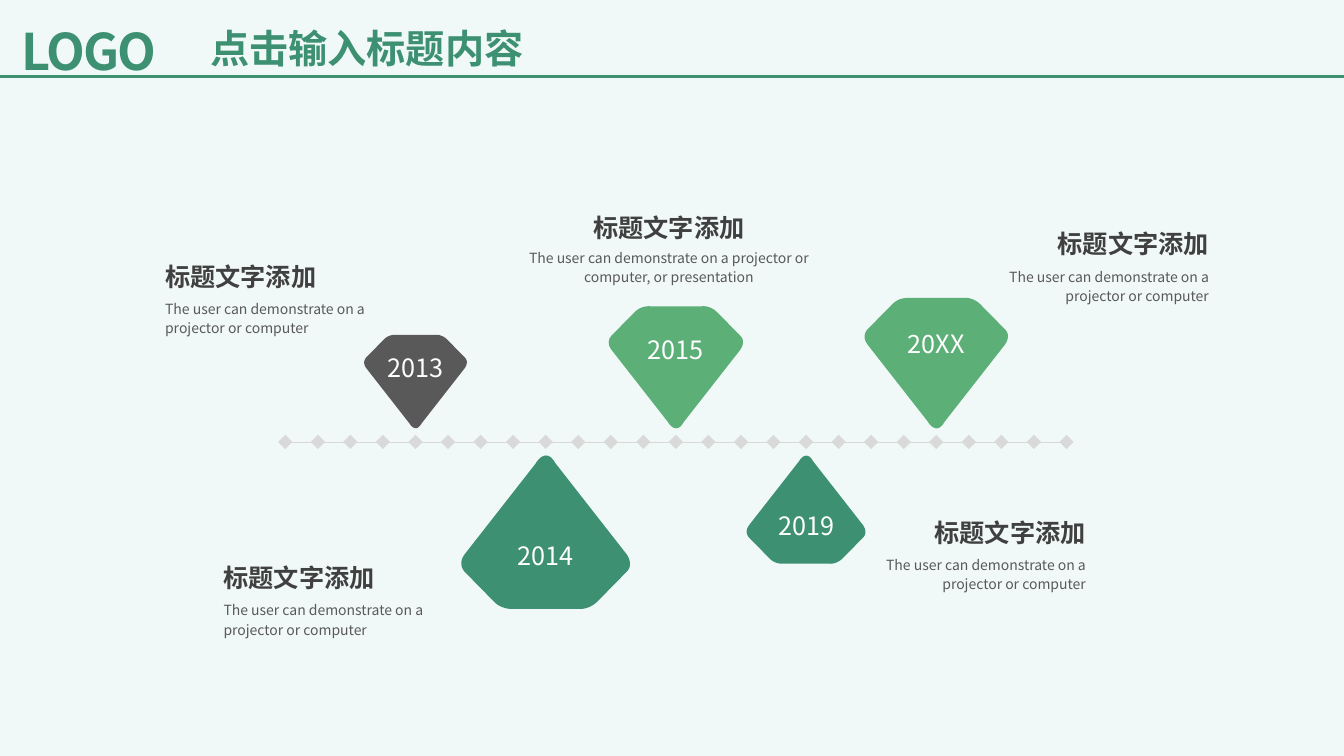
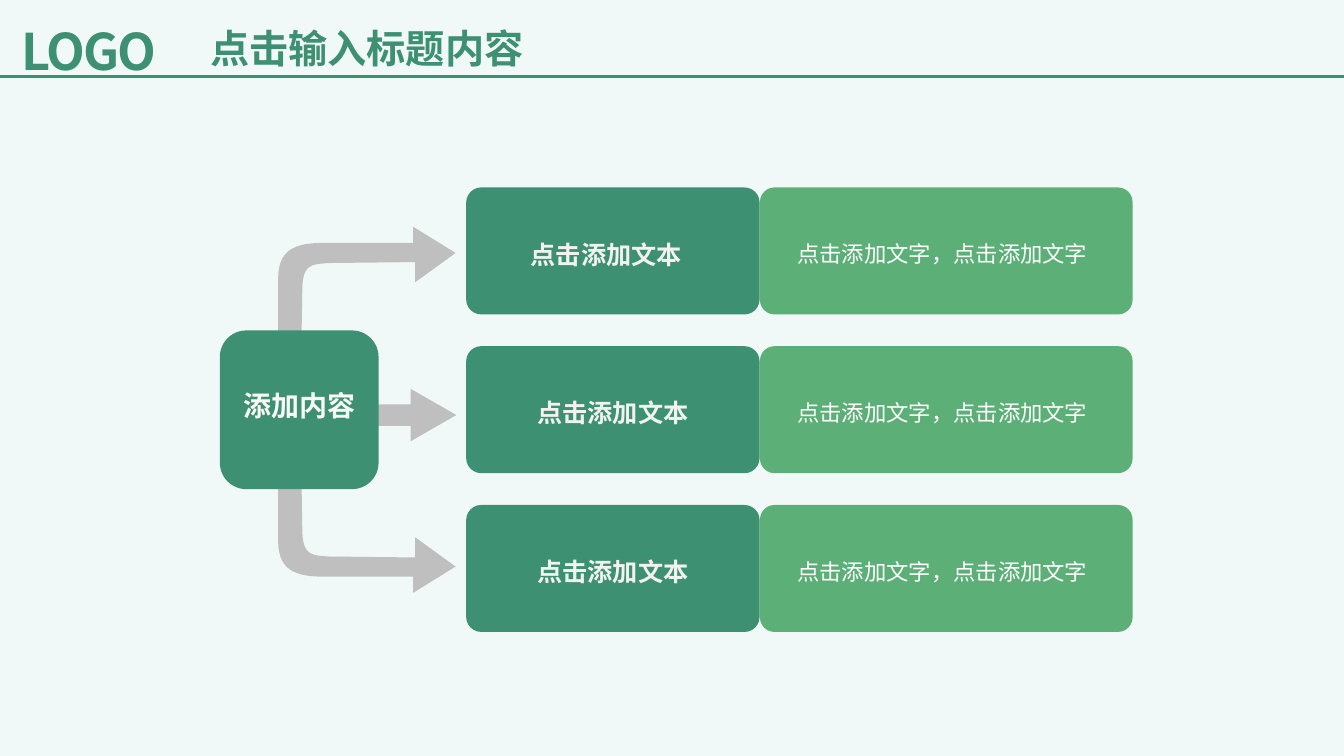
from lxml import etree
from pptx import Presentation
from pptx.dml.color import RGBColor
from pptx.enum import shapes as sh, text as tx
from pptx.oxml import ns
from pptx.util import Pt

# Shared look
FONT = "Noto Sans CJK SC"
HEX = {
    "back": "F0F9F7", "deep": "3D9072", "leaf": "5CAF77", "slate": "595959",
    "ink": "404040", "tick": "D9D9D9", "arrow": "BFBFBF",
    "white": "FFFFFF", "pale": "F2F2F2", "snow": "F9F9F9",
}
LEFT, MID, RIGHT = tx.PP_ALIGN.LEFT, tx.PP_ALIGN.CENTER, tx.PP_ALIGN.RIGHT
TITLE = "点击输入标题内容"

# Timeline content
AXIS = {"x": 203.8, "y": 315.7, "step": 23.25, "count": 25, "size": 10.2}
GEMS = [  # year, tick, width, side of the axis (-1 above, 1 below), colour
    ("2013", 4, 73, -1, "slate"),
    ("2014", 8, 120, 1, "deep"),
    ("2015", 12, 95.5, -1, "leaf"),
    ("2019", 16, 84.5, 1, "deep"),
    ("20XX", 20, 102, -1, "leaf"),
]
HEAD = "标题文字添加"
BODY = "The user can demonstrate on a projector or computer"
NOTES = [  # anchor x, top, body width, alignment, body
    (110.9, 182.9, 185, LEFT, BODY),
    (152.6, 398.2, 185, LEFT, BODY),
    (782.6, 365.8, 185, RIGHT, BODY),
    (870.5, 159.8, 185, RIGHT, BODY),
    (477.7, 148, 245.5, MID, BODY + ", or presentation"),
]
# Unit gem pointing down: two values make a line, six a cubic curve
GEM = [
    (.31, 0), (.31, 0, .24, -.01, .19, .05),
    (.02, .24), (.02, .24, -.03, .29, .02, .36),
    (.44, .95), (.44, .95, .5, 1.07, .56, .95),
    (.98, .36), (.98, .36, 1.03, .29, .98, .24),
    (.81, .05), (.81, .05, .76, -.01, .69, 0),
]

# Flow content
ROOT = "添加内容"
ROWS = [  # label, its alignment, its left inset, detail
    ("点击添加文本", LEFT, 43, "点击添加文字，点击添加文字"),
    ("点击添加文本", MID, 7.2, "点击添加文字，点击添加文字"),
    ("点击添加文本", MID, 7.2, "点击添加文字，点击添加文字"),
]
# Bent arrow, y measured from the middle of the root box
BEND = [
    (214.6, 0), (216, 88.2), (216.7, 104, 223.2, 104, 234.7, 104.8),
    (296.6, 105.5), (296.6, 91.1), (325.4, 112), (295.2, 130.7),
    (295.2, 119.2), (230.4, 119.2),
    (206.6, 119.2, 198.7, 111.2, 198.7, 93.2), (198.7, 0),
]


def tint(name):
    return RGBColor.from_string(HEX[name])


def write(frame, words, size, hue, bold=False, align=None, space=None):
    para = frame.paragraphs[0]
    if align is not None:
        para.alignment = align
    if space:
        para.line_spacing = space
    run = para.add_run()
    run.text = words
    font = run.font
    font.size, font.bold, font.name = Pt(size), bold, FONT
    font.color.rgb = tint(hue)
    props = run._r.get_or_add_rPr()
    etree.SubElement(props, ns.qn("a:ea")).set("typeface", FONT)
    return props


def inset(frame, left, top, right, bottom):
    frame.margin_left, frame.margin_top = Pt(left), Pt(top)
    frame.margin_right, frame.margin_bottom = Pt(right), Pt(bottom)


def label(page, box, *args, **look):
    frame = page.shapes.add_textbox(*map(Pt, box)).text_frame
    frame.word_wrap = True
    return frame, write(frame, *args, **look)


def paint(shape, hue):
    shape.shadow.inherit = False
    shape.fill.solid()
    shape.fill.fore_color.rgb = tint(hue)
    shape.line.fill.background()
    shape.text_frame.word_wrap = True
    shape.text_frame.vertical_anchor = tx.MSO_ANCHOR.MIDDLE
    return shape


def block(page, kind, box, hue, *adjust):
    shape = paint(page.shapes.add_shape(kind, *map(Pt, box)), hue)
    for i, value in enumerate(adjust):
        shape.adjustments[i] = value
    return shape


def rule(page, x1, x2, y, hue, width):
    line = page.shapes.add_connector(
        sh.MSO_CONNECTOR.STRAIGHT, Pt(x1), Pt(y), Pt(x2), Pt(y))
    line.line.color.rgb = tint(hue)
    line.line.width = Pt(width)
    etree.SubElement(line._element.spPr, ns.qn("a:effectLst"))
    return line


def trace(path, steps=12):
    """Turn lines and cubic curves into a list of points."""
    dots = []
    for part in path:
        if len(part) == 2:
            dots.append(part)
            continue
        ends = [dots[-1], part[:2], part[2:4], part[4:]]
        for i in range(1, steps + 1):
            t = i / steps
            s = 1 - t
            mix = (s ** 3, 3 * s * s * t, 3 * s * t * t, t ** 3)
            dots.append(tuple(
                sum(m * p[k] for m, p in zip(mix, ends)) for k in (0, 1)))
    return dots


def outline(page, dots, hue):
    spots = [(Pt(x), Pt(y)) for x, y in dots]
    pen = page.shapes.build_freeform(*spots[0])
    pen.add_line_segments(spots[1:], close=True)
    return paint(pen.convert_to_shape(), hue)


def dress(deck, layout, page):
    """Put the background, logo text, rule and title place on the layout."""
    back = deck.slide_master.background.fill
    back.solid()
    back.fore_color.rgb = tint("back")
    frame, props = label(page, (5.8, 9.4, 141, 53), "LOGO", 36, "deep", bold=True)
    inset(frame, 9.4, 5, 9.4, 5)
    props.set("spc", "-150")
    line = rule(page, 0, 960, 54.5, "deep", 2)
    for item in (frame._txBody.getparent(), line._element):
        layout.shapes.element.append(item)
    head = layout.placeholders[0]
    head.left, head.top, head.width, head.height = map(Pt, (132.5, 13.7, 259, 41))
    head.text_frame.vertical_anchor = tx.MSO_ANCHOR.TOP
    head.text_frame.auto_size = tx.MSO_AUTO_SIZE.NONE


def timeline(page):
    x0, y0, step, size = (AXIS[k] for k in ("x", "y", "step", "size"))
    rule(page, x0, x0 + step * (AXIS["count"] - 1), y0, "tick", .6)
    for i in range(AXIS["count"]):
        block(page, sh.MSO_SHAPE.DIAMOND,
              (x0 + i * step - size / 2, y0 - size / 2, size, size), "tick")

    # Gems touch the axis with their tips
    for year, tick, wide, side, hue in GEMS:
        high = wide * .91
        left, flat = x0 + tick * step - wide / 2, y0 + side * (high + 10)
        dots = [(left + x * wide, flat - side * y * high) for x, y in trace(GEM)]
        frame = outline(page, dots, hue).text_frame
        tip = high * .3
        inset(frame, 0, tip if side > 0 else 0, 0, tip if side < 0 else 0)
        write(frame, year, 18, "white", align=MID)

    # Headings with their text
    shift = {LEFT: 0, MID: .5, RIGHT: 1}
    for x, top, wide, align, body in NOTES:
        part = shift[align]
        label(page, (x - 168 * part, top, 168, 29), HEAD, 18, "ink",
              bold=True, align=align)
        drop = 25.2 if align == MID else 26.6
        label(page, (x - wide * part, top + drop, wide, 34.5), body, 10, "slate",
              align=align, space=1.14)


def flow(page):
    # Arrows: the upper bend mirrors the lower one
    for side in (1, -1):
        outline(page, [(x, 292.7 + side * y) for x, y in trace(BEND)], "arrow")
    block(page, sh.MSO_SHAPE.RIGHT_ARROW, (175.7, 277.7, 150.3, 37.5), "arrow",
          .41, .87)

    # Rows of two boxes
    box = sh.MSO_SHAPE.ROUNDED_RECTANGLE
    for i, (name, align, pad, detail) in enumerate(ROWS):
        top = 133.9 + i * 113.4
        frame = block(page, box, (542.8, top, 266.2, 90.7), "leaf", .115).text_frame
        inset(frame, 23.6, 3.6, 7.2, 3.6)
        write(frame, detail, 16, "white", align=LEFT, space=1.2)
        frame = block(page, box, (333, top, 209.6, 90.7), "deep", .119).text_frame
        inset(frame, pad, 3.6, 7.2, 3.6)
        write(frame, name, 18, "pale", bold=True, align=align, space=1.2)

    # Root box covers the arrow tails
    frame = block(page, box, (157, 236, 113.4, 113.4), "deep", .167).text_frame
    inset(frame, 10, 3.6, 10, 14.4)
    write(frame, ROOT, 20, "snow", bold=True, align=MID, space=1.2)


def main():
    deck = Presentation()
    deck.slide_width, deck.slide_height = Pt(960), Pt(540)
    layout = deck.slide_layouts[5]
    pages = [deck.slides.add_slide(layout) for _ in (timeline, flow)]
    dress(deck, layout, pages[0])
    for page, draw in zip(pages, (timeline, flow)):
        write(page.shapes.title.text_frame, TITLE, 28, "deep", bold=True, align=MID)
        draw(page)
    deck.save("out.pptx")


if __name__ == "__main__":
    main()
